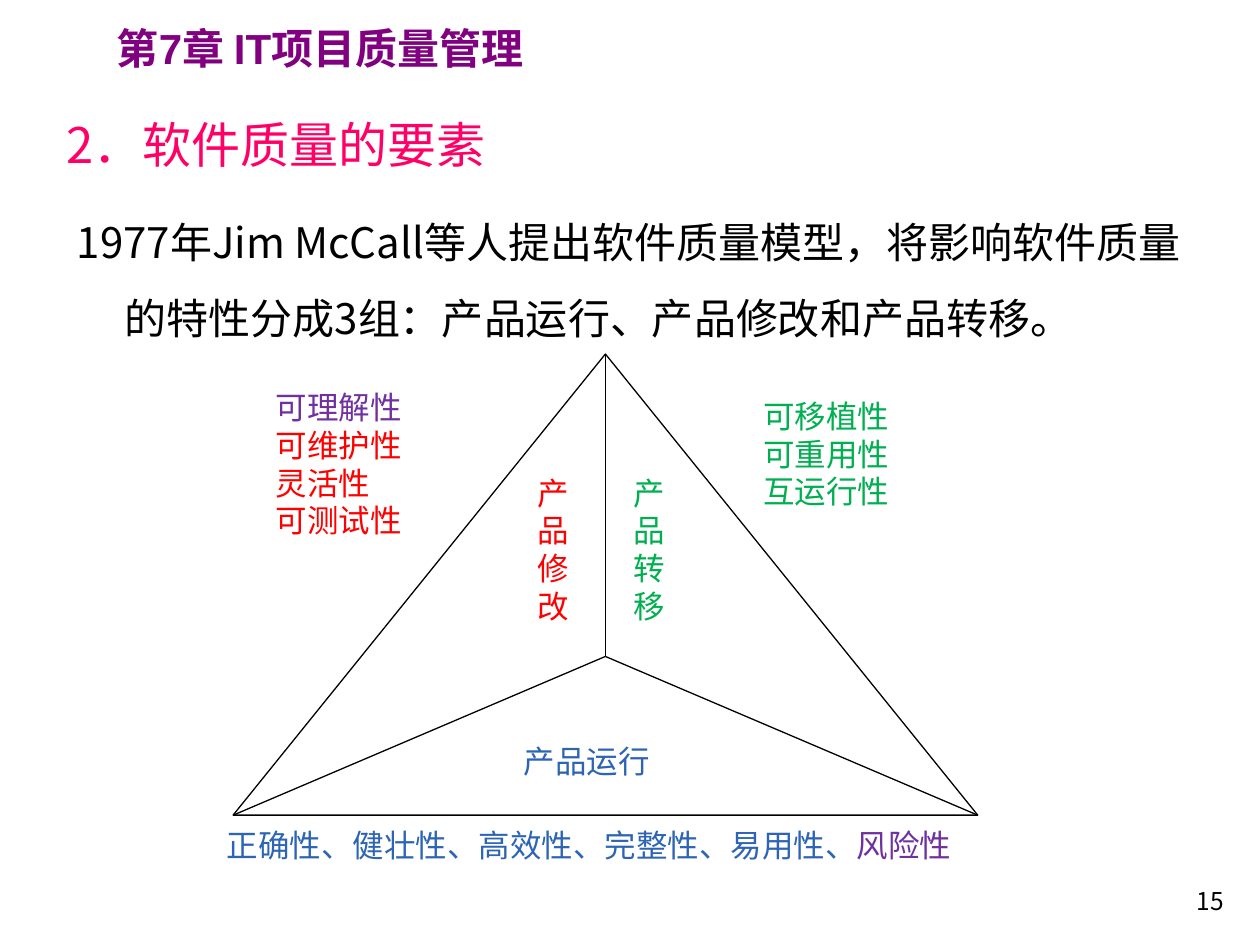
from dataclasses import dataclass

from lxml.etree import SubElement
from pptx import Presentation
from pptx.dml.color import RGBColor as Color
from pptx.enum.shapes import MSO_CONNECTOR as Connector, MSO_SHAPE as Shape
from pptx.enum.text import MSO_ANCHOR as Anchor, MSO_AUTO_SIZE as AutoSize, PP_ALIGN as Align
from pptx.oxml.ns import qn
from pptx.util import Inches, Pt


@dataclass(frozen=True)
class Theme:
    sans: str = "Noto Sans CJK SC"
    header_font: str = "Arial"
    header: str = "800080"
    title: str = "FF0066"
    ink: str = "000000"
    operation: str = "2D65B4"
    revision: str = "FF0000"
    transition: str = "00B050"
    added: str = "7030A0"
    title_size: int = 28
    body_size: int = 24
    label_size: int = 18
    number_size: int = 14
    line_width: float = 0.75


THEME = Theme()
COLUMNS, ROWS = 100, 75  # square grid cells over the slide
CELL = Inches(10) // COLUMNS


def grid(*lengths):
    """Turn grid columns and rows into slide lengths."""
    return [round(length * CELL) for length in lengths]


def add_run(paragraph, text, color, size, font=THEME.sans, bold=False):
    run = paragraph.add_run()
    run.text = text
    run.font.name = font
    run.font.size = Pt(size)
    run.font.bold = bold
    run.font.color.rgb = Color.from_string(color)
    SubElement(run.font._element, qn("a:ea")).set("typeface", THEME.sans)


def add_text(shapes, area, lines, size=THEME.label_size, align=Align.LEFT, **style):
    """Add a text box; each line is a list of (text, color) runs."""
    frame = shapes.add_textbox(*grid(*area)).text_frame
    frame.word_wrap = True
    for index, runs in enumerate(lines):
        paragraph = frame.add_paragraph() if index else frame.paragraphs[0]
        paragraph.alignment = align
        for text, color in runs:
            add_run(paragraph, text, color, size, **style)


def fill_placeholder(placeholder, area, text, color, size, anchor):
    """Move a placeholder, write its text and return the paragraph."""
    placeholder.left, placeholder.top, placeholder.width, placeholder.height = grid(*area)
    frame = placeholder.text_frame
    frame.auto_size = AutoSize.NONE
    frame.vertical_anchor = anchor
    paragraph = frame.paragraphs[0]
    paragraph.alignment = Align.LEFT
    paragraph.space_before = Pt(0)
    add_run(paragraph, text, color, size)
    return paragraph


def set_hanging_indent(paragraph, indent):
    properties = paragraph._p.get_or_add_pPr()
    properties.set("marL", str(indent))
    properties.set("indent", str(-indent))
    SubElement(properties, qn("a:buNone"))


def style_line(line):
    line.color.rgb = Color.from_string(THEME.ink)
    line.width = Pt(THEME.line_width)


def add_line(shapes, start, end):
    connector = shapes.add_connector(Connector.STRAIGHT, *grid(*start, *end))
    style_line(connector.line)
    SubElement(connector._element.spPr, qn("a:effectLst"))


def add_triangle(shapes, left, top, right, bottom, center_row):
    """Draw a triangle split into three by lines from its center."""
    triangle = shapes.add_shape(
        Shape.ISOSCELES_TRIANGLE, *grid(left, top, right - left, bottom - top))
    triangle.shadow.inherit = False
    triangle.fill.background()
    style_line(triangle.line)
    middle = (left + right) / 2
    for corner in ((middle, top), (left, bottom), (right, bottom)):
        add_line(shapes, (middle, center_row), corner)


def add_quality_model(shapes):
    add_triangle(shapes, 18.5, 28.1, 77.6, 64.7, 52.1)

    # Group names inside the triangle; narrow boxes stack the characters
    for area, name, color in (
        ((40.6, 58.4, 13.4, 4), "产品运行", THEME.operation),
        ((49.3, 37.1, 6.7, 13.1), "产品转移", THEME.transition),
        ((41.7, 37.1, 6, 13.1), "产品修改", THEME.revision),
    ):
        add_text(shapes, area, [[(name, color)]])

    # Quality factors beside each edge
    add_text(shapes, (59.6, 31, 16.4, 10.1),
             [[(name, THEME.transition)] for name in ("可移植性", "可重用性", "互运行性")])
    add_text(shapes, (20.9, 30.3, 13.4, 13.1),
             [[("可理解性", THEME.added)]]
             + [[(name, THEME.revision)] for name in ("可维护性", "灵活性", "可测试性")])
    add_text(shapes, (17, 65.1, 63, 4),
             [[("正确性、健壮性、高效性、完整性、易用性、", THEME.operation),
               ("风险性", THEME.added)]])


def main():
    presentation = Presentation()
    presentation.slide_width, presentation.slide_height = grid(COLUMNS, ROWS)
    slide = presentation.slides.add_slide(presentation.slide_layouts[1])
    title, body = slide.placeholders

    # Chapter header
    add_text(slide.shapes, (8.3, 1.3, 40.2, 5), [[("第7章 IT项目质量管理", THEME.header)]],
             THEME.body_size, font=THEME.header_font, bold=True)

    # Title and introduction
    fill_placeholder(title, (4.3, 8.4, 78, 6.1), "2．软件质量的要素",
                     THEME.title, THEME.title_size, Anchor.MIDDLE)
    introduction = fill_placeholder(
        body, (5.1, 14.7, 90, 12.6),
        "1977年Jim McCall等人提出软件质量模型，将影响软件质量的特性分成3组："
        "产品运行、产品修改和产品转移。",
        THEME.ink, THEME.body_size, Anchor.TOP)
    introduction.line_spacing = 1.5
    set_hanging_indent(introduction, Inches(0.38))

    # Diagram and page number
    add_quality_model(slide.shapes.add_group_shape().shapes)
    add_text(slide.shapes, (89.4, 69.8, 8.7, 4.7), [[("15", THEME.ink)]],
             THEME.number_size, Align.RIGHT)

    presentation.save("out.pptx")


if __name__ == "__main__":
    main()
